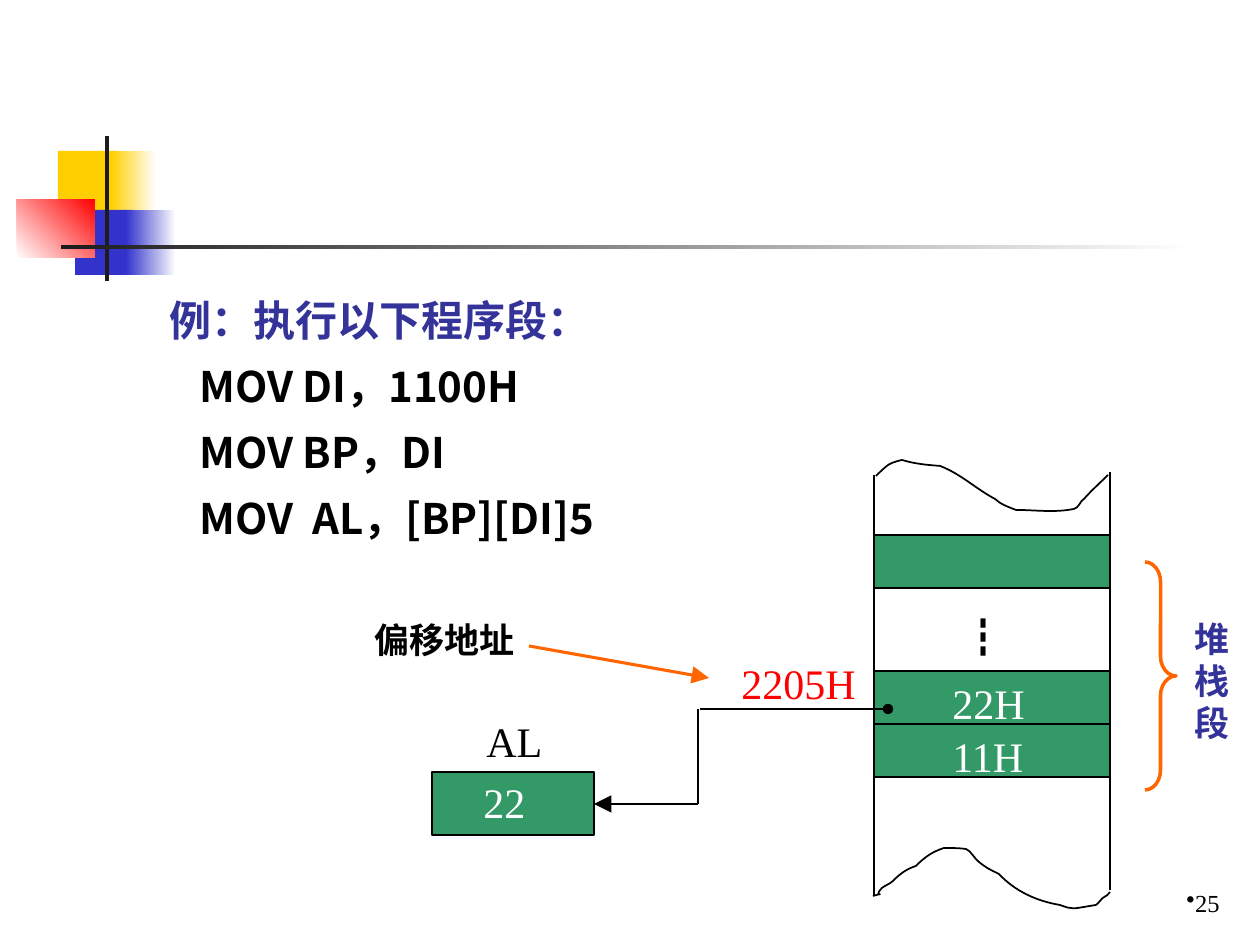
from lxml import etree
from pptx import Presentation
from pptx.dml.color import RGBColor
from pptx.enum.shapes import MSO_CONNECTOR, MSO_SHAPE
from pptx.enum.text import MSO_ANCHOR, PP_ALIGN
from pptx.oxml.ns import qn
from pptx.util import Pt

PX = 914400 / 126
STRAIGHT = MSO_CONNECTOR.STRAIGHT
RECTANGLE = MSO_SHAPE.RECTANGLE
RIGHT_BRACE = MSO_SHAPE.RIGHT_BRACE
BOTTOM = MSO_ANCHOR.BOTTOM
RIGHT = PP_ALIGN.RIGHT
SERIF = "Times New Roman"
SANS = "Noto Sans CJK SC"
COLORS = {name: RGBColor.from_string(value) for name, value in {
    "black": "000000", "white": "FFFFFF", "yellow": "FFCF01", "blue": "3333CC",
    "red": "FF0000", "charcoal": "1C1C1C", "green": "339966", "orange": "FF6600",
    "navy": "333399",
}.items()}


def emu(*lengths):
    return [round(length * PX) for length in lengths]


def write(paragraph, text, size, color, bold=False, font=SERIF):
    run = paragraph.add_run()
    run.text = text
    formats = {"size": Pt(size), "bold": bold, "name": font}
    for name, value in formats.items():
        setattr(run.font, name, value)
    run.font.color.rgb = COLORS[color]
    east_asian = etree.SubElement(run.font._element, qn("a:ea"))
    east_asian.set("typeface", SANS)


presentation = Presentation()
presentation.slide_width, presentation.slide_height = emu(1260, 945)
slide = presentation.slides.add_slide(presentation.slide_layouts[6])
shapes = slide.shapes

decorations = [
    (58, 151, 60, 66, ["yellow"], 0),
    (111, 151, 45, 66, ["yellow", "white"], 0),
    (75, 210, 58, 65, ["blue"], 0),
    (126, 210, 50, 65, ["blue", "white"], 0),
    (17, 199, 78, 59, ["white", "red"], 45),
    (105, 136, 4, 145, ["charcoal"], 0),
    (61, 245, 1134, 4, ["charcoal", "white"], 0),
]
for left, top, width, height, colors, angle in decorations:
    shape = shapes.add_shape(RECTANGLE, *emu(left, top, width, height))
    shape.shadow.inherit = False
    shape.line.fill.background()
    if len(colors) == 1:
        shape.fill.solid()
        shape.fill.fore_color.rgb = COLORS[colors[0]]
    else:
        shape.fill.gradient()
        shape.fill.gradient_angle = angle
        for stop, color, position in zip(shape.fill.gradient_stops, colors, (0, 1)):
            stop.color.rgb = COLORS[color]
            stop.position = position

body = shapes.add_textbox(*emu(123, 283, 1071, 310)).text_frame
body.word_wrap = True
program = [
    ("例：执行以下程序段：", "navy", 34),
    ("MOV DI，1100H", "black", 64),
    ("MOV BP，DI", "black", 64),
    ("MOV  AL，[BP][DI]5", "black", 64),
]
for index, (text, color, indent) in enumerate(program):
    paragraph = body.add_paragraph() if index else body.paragraphs[0]
    paragraph.line_spacing = 1.1
    paragraph.space_after = Pt(6)
    paragraph._p.get_or_add_pPr().set("marL", str(emu(indent)[0]))
    write(paragraph, text, 24, color, True, SANS)

memory_cells = [(874, top, 236, 53) for top in (535, 671, 724)]
for box in memory_cells + [(432, 772, 162, 63)]:
    shape = shapes.add_shape(RECTANGLE, *emu(*box))
    shape.shadow.inherit = False
    shape.fill.solid()
    shape.fill.fore_color.rgb = COLORS["green"]
    shape.line.color.rgb = COLORS["black"]
    shape.line.width = Pt(1)

torn_edges = [
    [(876, 476), (878, 474), (887, 465), (890, 464), (893, 462), (902, 460), (902, 460),
     (915, 464), (927, 465), (940, 466), (961, 474), (976, 489), (995, 499),
     (1000, 504), (1008, 507), (1016, 510), (1034, 510), (1055, 513), (1074, 509),
     (1079, 508), (1080, 501), (1084, 499), (1092, 490), (1100, 483), (1108, 475)],
    [(873, 896), (890, 891), (871, 900), (882, 888), (886, 885), (890, 884), (893, 881),
     (901, 873), (907, 869), (916, 866), (925, 857), (932, 852), (944, 848),
     (951, 848), (959, 848), (966, 849), (970, 850), (975, 859), (979, 862),
     (988, 869), (989, 869), (999, 874), (1015, 891), (1036, 901), (1060, 905),
     (1074, 910), (1071, 909), (1096, 905), (1097, 905), (1099, 902), (1100, 901),
     (1101, 898), (1104, 898), (1106, 896), (1107, 896), (1110, 892), (1110, 892)],
]
for controls in torn_edges:
    builder = shapes.build_freeform(*controls[0], scale=PX)
    builder.add_line_segments(controls[1:], close=False)
    shape = builder.convert_to_shape()
    outline = next(shape._element.iter(qn("a:path")))
    segments = outline.findall(qn("a:lnTo"))
    for first in range(0, len(segments), 3):
        curve = etree.SubElement(outline, qn("a:cubicBezTo"))
        for segment in segments[first:first + 3]:
            curve.append(segment[0])
            outline.remove(segment)
    shape.shadow.inherit = False
    shape.fill.background()
    shape.line.color.rgb = COLORS["black"]
    shape.line.width = Pt(1)

lines = [
    (874, 475, 874, 896, "black", 1, None, None),
    (1110, 472, 1110, 890, "black", 1, None, None),
    (529, 646, 709, 678, "orange", 1.75, "triangle", "lg"),
    (698, 709, 698, 804, "black", 1.5, None, None),
    (698, 804, 594, 804, "black", 1.5, "triangle", "lg"),
    (700, 709, 888, 709, "black", 1.5, "oval", "med"),
]
for *ends, color, width, arrowhead, size in lines:
    connector = shapes.add_connector(STRAIGHT, *emu(*ends))
    connector.line.color.rgb = COLORS[color]
    connector.line.width = Pt(width)
    if arrowhead:
        tail = etree.SubElement(connector.line._get_or_add_ln(), qn("a:tailEnd"))
        for name, value in {"type": arrowhead, "w": size, "len": size}.items():
            tail.set(name, value)
    etree.SubElement(connector._element.spPr, qn("a:effectLst"))

brace = shapes.add_shape(RIGHT_BRACE, *emu(1145, 562, 31, 228))
brace.shadow.inherit = False
brace.fill.background()
brace.line.color.rgb = COLORS["orange"]
brace.line.width = Pt(2)
brace.adjustments[0] = 0.64

labels = [
    ("22H", 940, 671, 116, 63, 24, "white", False, SERIF),
    ("11H", 940, 724, 116, 63, 24, "white", False, SERIF),
    ("2205H", 729, 651, 145, 63, 24, "red", False, SERIF),
    ("偏移地址", 362, 612, 190, 54, 20, "black", True, SERIF),
    ("AL", 474, 709, 97, 63, 24, "black", False, SERIF),
    ("┇", 950, 605, 84, 63, 24, "black", False, SANS),
    ("22", 471, 770, 100, 63, 24, "white", False, SERIF),
    ("堆栈段", 1182, 611, 63, 139, 20, "navy", True, SERIF),
]
for text, left, top, width, height, *style in labels:
    frame = shapes.add_textbox(*emu(left, top, width, height)).text_frame
    frame.word_wrap = True
    write(frame.paragraphs[0], text, *style)

number_frame = shapes.add_textbox(*emu(970, 861, 262, 63)).text_frame
number_frame.word_wrap = True
number_frame.vertical_anchor = BOTTOM
paragraph = number_frame.paragraphs[0]
paragraph.alignment = RIGHT
properties = paragraph._p.get_or_add_pPr()
for name in ("marL", "indent"):
    properties.set(name, "0")
bullet = etree.SubElement(properties, qn("a:buChar"))
bullet.set("char", "•")
write(paragraph, "25", 14, "black")

presentation.save("out.pptx")
